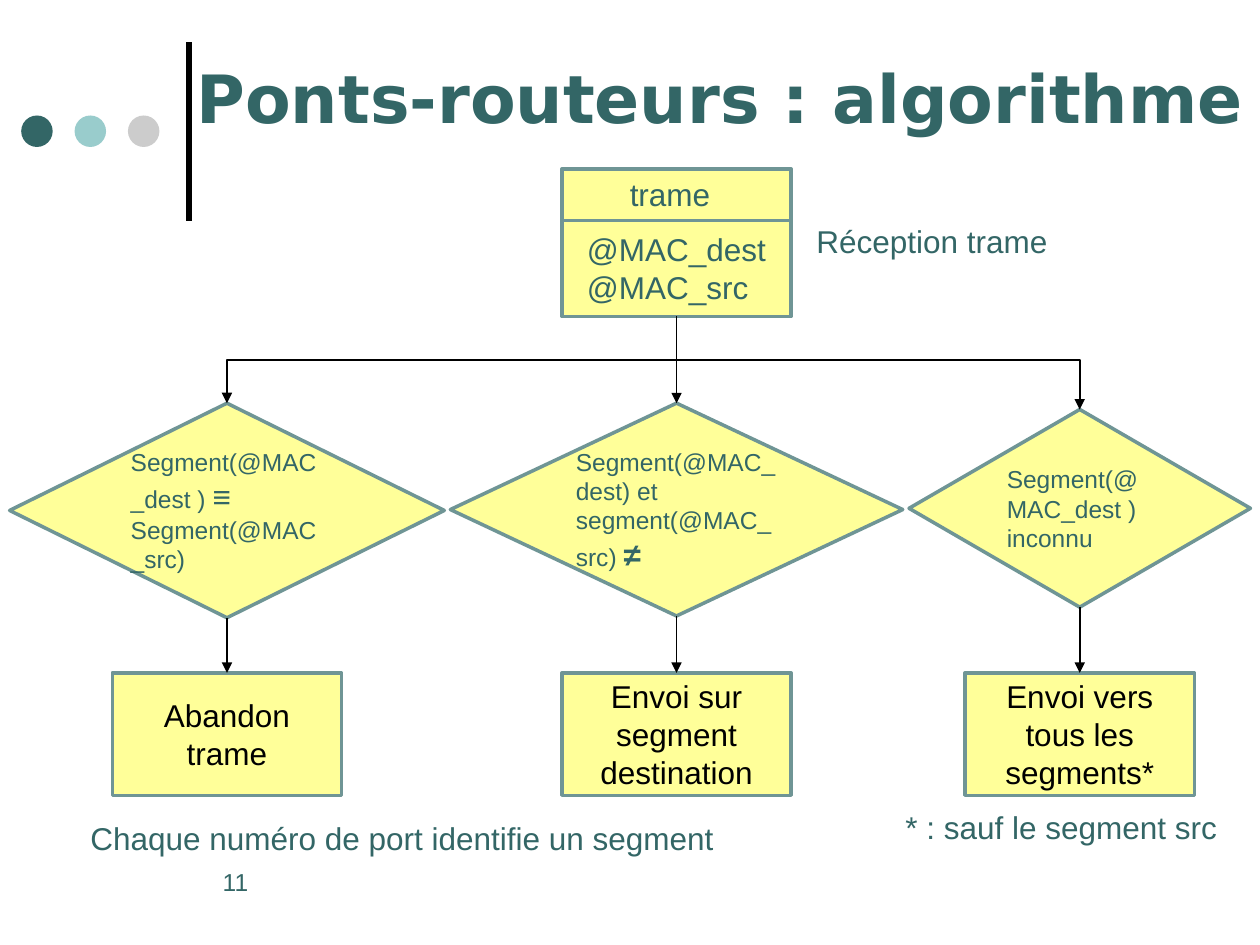
from lxml.etree import SubElement
from pptx import Presentation
from pptx.dml.color import RGBColor
from pptx.enum.shapes import MSO_CONNECTOR, MSO_SHAPE
from pptx.enum.text import MSO_ANCHOR, MSO_AUTO_SIZE, PP_ALIGN
from pptx.oxml.ns import qn
from pptx.util import Pt

TEAL, BLACK, YELLOW, EDGE = "336666", "000000", "FFFF99", "6F9595"
rgb = RGBColor.from_string

prs = Presentation()
prs.slide_width, prs.slide_height = Pt(720), Pt(540)
s = prs.slides.add_slide(prs.slide_layouts[5])


def add_box(kind, left, top, width, height, fill, edge=None):
    sp = s.shapes.add_shape(kind, Pt(left), Pt(top), Pt(width), Pt(height))
    sp.shadow.inherit = False
    sp.fill.solid()
    sp.fill.fore_color.rgb = rgb(fill)
    if edge:
        sp.line.color.rgb = rgb(edge)
        sp.line.width = Pt(2)
    else:
        sp.line.fill.background()
    return sp


def write(sp, text, size, color=TEAL, align=PP_ALIGN.LEFT, anchor=MSO_ANCHOR.MIDDLE, font="Arial"):
    tf = sp.text_frame
    tf.word_wrap = True
    tf.vertical_anchor = anchor
    tf.text = text
    for p in tf.paragraphs:
        p.alignment = align
        for r in p.runs:
            r.font.size = Pt(size)
            r.font.name = font
            r.font.color.rgb = rgb(color)


title = s.shapes.title
title.left, title.top, title.width, title.height = Pt(105.1), Pt(28.8), Pt(620), Pt(56.9)
write(title, "Ponts-routeurs : algorithme", 38, anchor=MSO_ANCHOR.TOP, font="DejaVu Sans")
title.text_frame.auto_size = MSO_AUTO_SIZE.NONE
title.text_frame.paragraphs[0].runs[0].font.bold = True

bar = s.shapes.add_connector(MSO_CONNECTOR.STRAIGHT, Pt(108), Pt(126), Pt(108), Pt(24))
for i, color in enumerate([TEAL, "99CCCC", "CCCCCC"]):
    add_box(MSO_SHAPE.OVAL, 12.1 + i * 30.5, 66, 18, 18, color)

add_box(MSO_SHAPE.FLOWCHART_PROCESS, 321.1, 96.6, 131, 70, YELLOW, EDGE)
frame = add_box(MSO_SHAPE.FLOWCHART_PROCESS, 321.1, 126, 131, 54.8, YELLOW, EDGE)

labels = [
    ("trame", 352.8, 96.6, 67.7, 29, 18),
    ("@MAC_dest\n@MAC_src", 328.3, 128.1, 123.8, 50.6, 18),
    ("Réception trame", 459.4, 123.2, 169.9, 29, 18),
    ("* : sauf le segment src", 510.3, 458, 208.8, 29, 18),
    ("Chaque numéro de port identifie un segment", 44.6, 464.4, 379.4, 29, 18),
    ("11", 120.2, 491.8, 102.2, 36, 14),
]
for text, left, top, width, height, size in labels:
    tb = s.shapes.add_textbox(Pt(left), Pt(top), Pt(width), Pt(height))
    write(tb, text, size, anchor=MSO_ANCHOR.TOP)

branches = [
    (129.7, 230.4, 248.4, 122.6, "Segment(@MAC_dest ) \nSegment(@MAC_src)", "≡", "Abandon trame"),
    (386.6, 230.4, 258.5, 121.6, "Segment(@MAC_dest) et segment(@MAC_src) ", "≠",
     "Envoi sur segment destination"),
    (617, 234, 195.1, 113, "Segment(@MAC_dest ) inconnu", "", "Envoi vers tous les segments*"),
]
start_x, start_y, bend_y = 386.6, 180.8, 205.7
arrows = []
for x, top, width, height, test, symbol, result in branches:
    test_sp = add_box(MSO_SHAPE.FLOWCHART_DECISION, x - width / 2, top, width, height, YELLOW, EDGE)
    write(test_sp, test, 14)
    if symbol:
        r = test_sp.text_frame.paragraphs[0].add_run()
        r.text = symbol
        r.font.size, r.font.bold, r.font.name = Pt(18), True, "Arial"
        r.font.color.rgb = rgb(TEAL)
    result_sp = add_box(MSO_SHAPE.FLOWCHART_PROCESS, x - 65.5, 384.5, 131, 70, YELLOW, EDGE)
    write(result_sp, result, 18, BLACK, PP_ALIGN.CENTER)

    down = s.shapes.add_connector(MSO_CONNECTOR.STRAIGHT, Pt(x), Pt(top + height), Pt(x), Pt(384.5))
    down.begin_connect(test_sp, 2)
    down.end_connect(result_sp, 0)

    if x == start_x:
        entry = s.shapes.add_connector(MSO_CONNECTOR.STRAIGHT, Pt(x), Pt(start_y), Pt(x), Pt(top))
        entry.begin_connect(frame, 2)
        entry.end_connect(test_sp, 0)
    else:
        drop, run = top - start_y, abs(x - start_x)
        mid_x, mid_y = (x + start_x) / 2, (top + start_y) / 2
        side = 1 if x < start_x else -1
        entry = s.shapes.add_connector(
            MSO_CONNECTOR.ELBOW,
            Pt(mid_x - side * drop / 2), Pt(mid_y - run / 2),
            Pt(mid_x + side * drop / 2), Pt(mid_y + run / 2))
        sp_pr = entry._element.spPr
        sp_pr.find(qn("a:xfrm")).set("rot", str((180 - side * 90) * 60000))
        av = sp_pr.find(qn("a:prstGeom")).find(qn("a:avLst"))
        ratio = round((bend_y - start_y) / drop * 100000)
        SubElement(av, qn("a:gd"), name="adj1", fmla=f"val {ratio}")
    arrows += [entry, down]

for line in [bar] + arrows:
    line.line.color.rgb = rgb(BLACK)
    line.line.width = Pt(3 if line is bar else 1)
    if line is not bar:
        SubElement(line.line._get_or_add_ln(), qn("a:tailEnd"), type="triangle")
    SubElement(line._element.spPr, qn("a:effectLst"))

prs.save("out.pptx")
